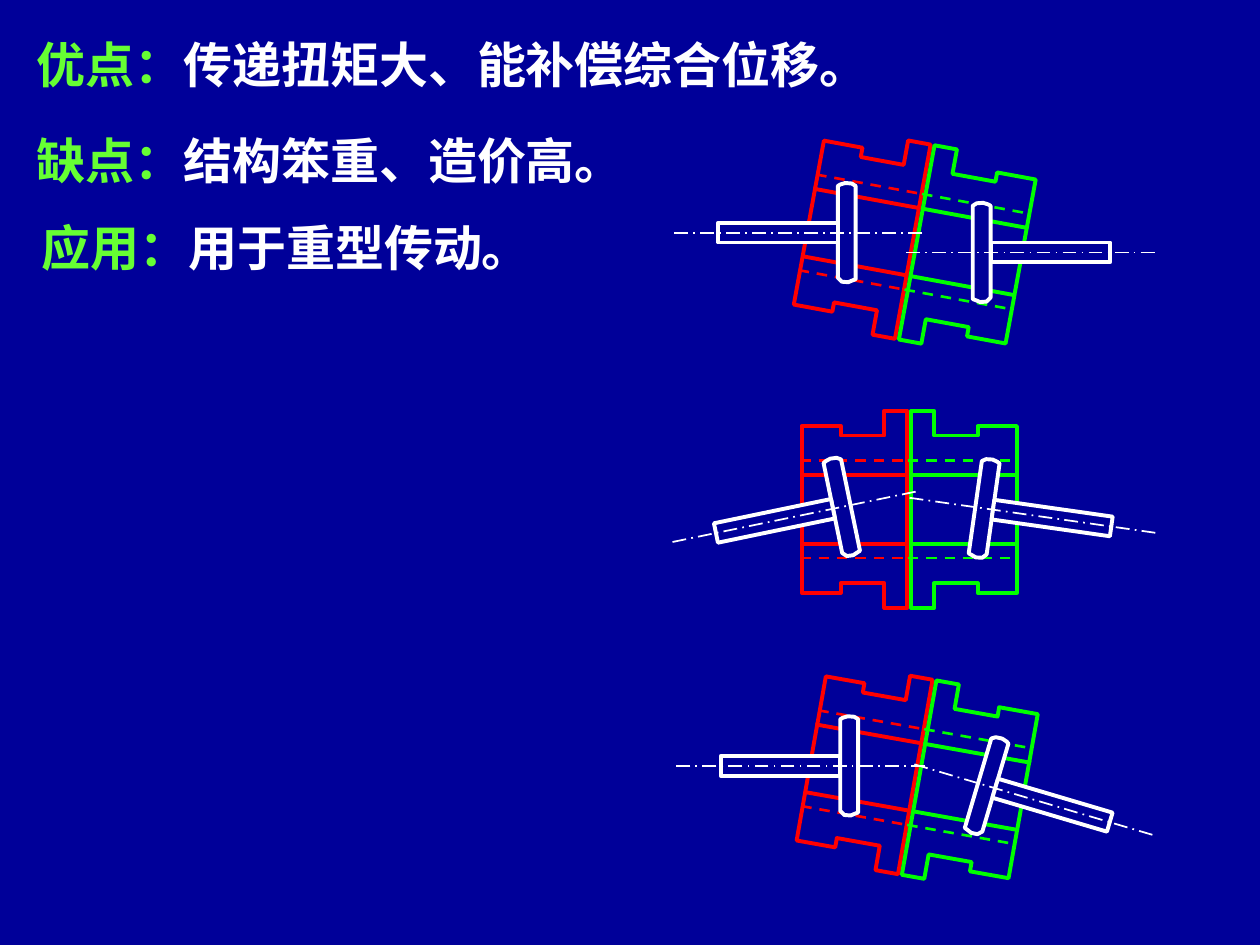
from dataclasses import dataclass
from math import cos, radians, sin

from lxml import etree
from pptx import Presentation
from pptx.dml.color import RGBColor
from pptx.enum.dml import MSO_LINE
from pptx.enum.shapes import MSO_CONNECTOR, MSO_SHAPE
from pptx.enum.text import MSO_AUTO_SIZE
from pptx.oxml.ns import qn
from pptx.util import Cm, Pt

DASH = MSO_LINE.DASH
CENTRE_LINE = MSO_LINE.LONG_DASH_DOT
STRAIGHT = MSO_CONNECTOR.STRAIGHT
RECTANGLE = MSO_SHAPE.RECTANGLE

COLOURS = {
    "background": "000099",
    "label": "66FF33",
    "white": "FFFFFF",
    "red": "FF0000",
    "green": "00FF00",
}
FONT = "Noto Sans CJK SC"
THICK, THIN, AXIS = 2.25, 1.5, 1

# Profiles in cm for the right-hand part, relative to the centre of the part
SLEEVE_PROFILE = [(2.17, -1.68), (1.38, -1.68), (1.38, -1.49), (0.5, -1.49),
                  (0.5, -1.99), (0.04, -1.99), (0.04, -0.69), (2.17, -0.69)]
PLATE_PROFILE = [(-0.18, 0.94), (-0.18, -0.94), (-0.1, -0.99), (0.03, -1),
                 (0.13, -0.97), (0.18, -0.94), (0.18, 0.91), (0.1, 0.99),
                 (-0.03, 1), (-0.1, 0.97)]
SLEEVE_INNER, SLEEVE_OUTER = 0.04, 2.17
BORE_TOP, BORE_BOTTOM = -0.73, 0.69
TOOTH_ROOT = 0.98
ROD_START, ROD_LENGTH, ROD_HEIGHT = 0.18, 2.41, 0.4
AXIS_START, AXIS_END = -1.52, 3.51

Point = tuple[float, float]


@dataclass(frozen=True)
class Frame:
    """A turned coordinate frame on the slide, in cm and degrees."""
    x: float
    y: float
    angle: float = 0

    def place(self, point: Point) -> Point:
        turn = radians(self.angle)
        x, y = point
        return (self.x + x * cos(turn) - y * sin(turn),
                self.y + x * sin(turn) + y * cos(turn))


@dataclass(frozen=True)
class SleeveHalf:
    colour: str
    side: int
    dash_start: float
    dash_end: float


@dataclass(frozen=True)
class Coupling:
    sleeve: Frame
    left_shaft: Frame
    right_shaft: Frame


@dataclass(frozen=True)
class Statement:
    left: float
    top: float
    width: float
    label: str
    content: str


HALVES = [SleeveHalf("red", -1, -2.2, -0.05), SleeveHalf("green", 1, -0.03, 2.13)]
COUPLINGS = [
    Coupling(Frame(18.44, 4.88, 10.4), Frame(17.07, 4.69), Frame(19.79, 5.09)),
    Coupling(Frame(18.33, 10.27), Frame(16.97, 10.22, -11.7), Frame(19.84, 10.25, 8.1)),
    Coupling(Frame(18.49, 15.67, 10.1), Frame(17.12, 15.44), Frame(19.89, 15.84, 16.5)),
]
STATEMENTS = [
    Statement(0.74, 0.69, 16.89, "优点：", "传递扭矩大、能补偿综合位移。"),
    Statement(0.74, 2.64, 13.51, "缺点：", "结构笨重、造价高。"),
    Statement(0.84, 4.39, 11.76, "应用：", "用于重型传动。"),
]


def colour_of(name: str) -> RGBColor:
    return RGBColor.from_string(COLOURS[name])


def style_shape(shape, line: str, fill: str | None = None) -> None:
    shape.shadow.inherit = False
    if fill:
        shape.fill.solid()
        shape.fill.fore_color.rgb = colour_of(fill)
    else:
        shape.fill.background()
    shape.line.color.rgb = colour_of(line)
    shape.line.width = Pt(THICK)


def turn_shape(shape, frame: Frame, centre: Point) -> None:
    """Move a shape so that its local centre sits in the frame, then rotate it."""
    x, y = frame.place(centre)
    shape.left = Cm(x) - shape.width // 2
    shape.top = Cm(y) - shape.height // 2
    shape.rotation = frame.angle


def draw_outline(slide, frame: Frame, points: list[Point], line: str,
                 fill: str | None = None) -> None:
    corners = [(Cm(frame.x + x), Cm(frame.y + y)) for x, y in points]
    builder = slide.shapes.build_freeform(*corners[0])
    builder.add_line_segments(corners[1:], close=True)
    shape = builder.convert_to_shape()
    style_shape(shape, line, fill)
    etree.SubElement(shape.line._get_or_add_ln(), qn("a:round"))
    xs, ys = zip(*points)
    turn_shape(shape, frame, ((min(xs) + max(xs)) / 2, (min(ys) + max(ys)) / 2))


def draw_line(slide, frame: Frame, start: Point, end: Point, colour: str,
              width: float, dash: MSO_LINE | None = None) -> None:
    ends = [Cm(value) for point in (start, end) for value in frame.place(point)]
    connector = slide.shapes.add_connector(STRAIGHT, *ends)
    connector.line.color.rgb = colour_of(colour)
    connector.line.width = Pt(width)
    if dash is not None:
        connector.line.dash_style = dash
    etree.SubElement(connector._element.spPr, qn("a:effectLst"))


def draw_sleeve_half(slide, frame: Frame, half: SleeveHalf) -> None:
    for vertical in (1, -1):
        profile = [(half.side * x, vertical * y) for x, y in SLEEVE_PROFILE]
        draw_outline(slide, frame, profile, half.colour)
        y = -vertical * TOOTH_ROOT
        draw_line(slide, frame, (half.dash_start, y), (half.dash_end, y),
                  half.colour, THIN, DASH)
    for edge in (SLEEVE_OUTER, SLEEVE_INNER):
        x = half.side * edge
        draw_line(slide, frame, (x, BORE_BOTTOM), (x, BORE_TOP), half.colour, THICK)


def draw_shaft(slide, frame: Frame, side: int) -> None:
    """Draw a hub plate, its rod and the centre line; side is -1 for left."""
    plate = [(side * x, y) for x, y in PLATE_PROFILE]
    draw_outline(slide, frame, plate, "white", "background")
    rod = slide.shapes.add_shape(RECTANGLE, 0, 0, Cm(ROD_LENGTH), Cm(ROD_HEIGHT))
    style_shape(rod, "white", "background")
    turn_shape(rod, frame, (side * (ROD_START + ROD_LENGTH / 2), 0))
    draw_line(slide, frame, (side * AXIS_START, 0), (side * AXIS_END, 0),
              "white", AXIS, CENTRE_LINE)


def add_run(paragraph, text: str, colour: str) -> None:
    run = paragraph.add_run()
    run.text = text
    run.font.size = Pt(28)
    run.font.bold = True
    run.font.color.rgb = colour_of(colour)
    run.font.name = FONT
    east_asian = etree.SubElement(run.font._element, qn("a:ea"))
    east_asian.set("typeface", FONT)


def add_statement(slide, statement: Statement) -> None:
    box = slide.shapes.add_textbox(Cm(statement.left), Cm(statement.top),
                                   Cm(statement.width), Cm(1.19))
    frame = box.text_frame
    frame.word_wrap = True
    frame.auto_size = MSO_AUTO_SIZE.SHAPE_TO_FIT_TEXT
    frame.margin_left = frame.margin_right = frame.margin_top = frame.margin_bottom = 0
    paragraph = frame.paragraphs[0]
    add_run(paragraph, statement.label, "label")
    add_run(paragraph, statement.content, "white")


def main() -> None:
    presentation = Presentation()
    presentation.slide_width, presentation.slide_height = Cm(25.4), Cm(19.05)
    slide = presentation.slides.add_slide(presentation.slide_layouts[6])
    slide.background.fill.solid()
    slide.background.fill.fore_color.rgb = colour_of("background")
    for statement in STATEMENTS:
        add_statement(slide, statement)
    for coupling in COUPLINGS:
        for half in HALVES:
            draw_sleeve_half(slide, coupling.sleeve, half)
        draw_shaft(slide, coupling.left_shaft, -1)
        draw_shaft(slide, coupling.right_shaft, 1)
    presentation.save("out.pptx")


if __name__ == "__main__":
    main()
